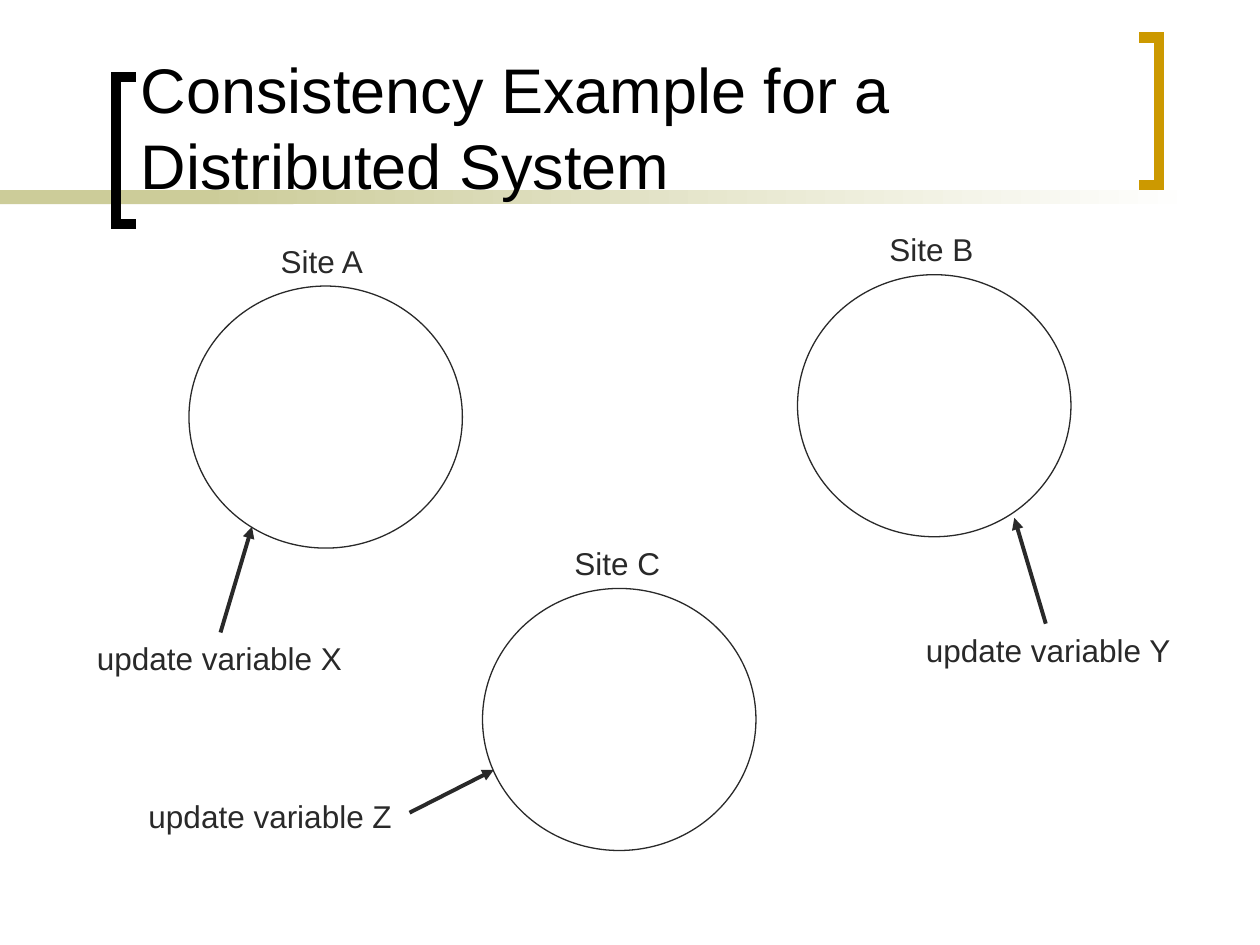
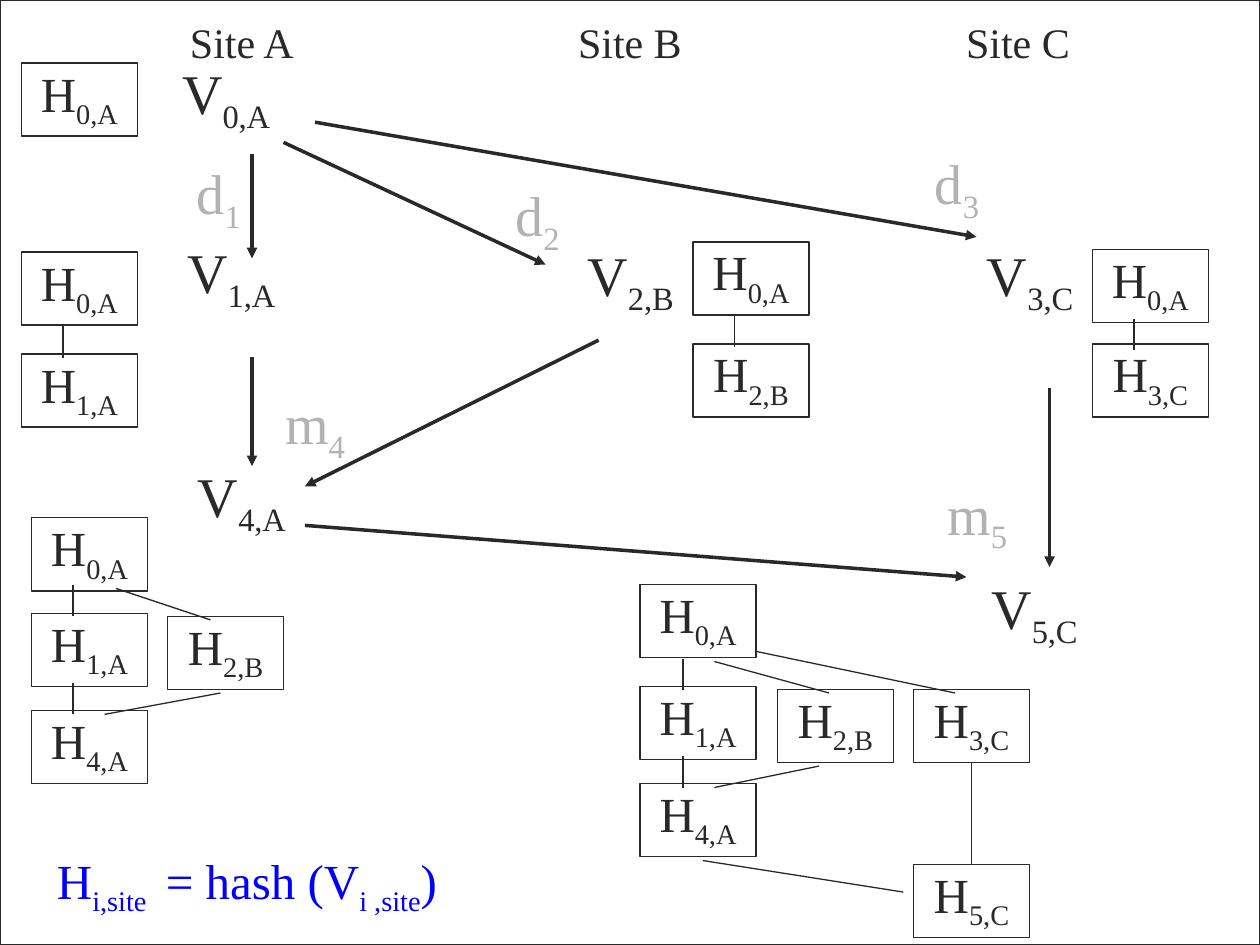
from lxml import etree
from pptx import Presentation
from pptx.dml.color import RGBColor
from pptx.enum.shapes import MSO_CONNECTOR, MSO_SHAPE
from pptx.enum.text import MSO_ANCHOR, PP_ALIGN
from pptx.oxml.ns import qn
from pptx.util import Cm, Pt

RECT, OVAL = MSO_SHAPE.RECTANGLE, MSO_SHAPE.OVAL
STRAIGHT = MSO_CONNECTOR.STRAIGHT
TOP, MIDDLE, BOTTOM = MSO_ANCHOR.TOP, MSO_ANCHOR.MIDDLE, MSO_ANCHOR.BOTTOM
LEFT, CENTER = PP_ALIGN.LEFT, PP_ALIGN.CENTER

COLORS = {"ink": "292929", "black": "000000", "white": "FFFFFF", "sand": "CCCC99",
          "gold": "CC9900", "gray": "B2B2B2", "blue": "0000FF"}
SANS, SERIF = "Arial", "Times New Roman"

# Content: all places are in grid units of one inch (2.54 cm)
TITLE = "Consistency Example for a Distributed System"
BRACKETS = [
    ("black", [(1.08, 1.78), (0.92, 1.78), (0.92, 0.61), (1.08, 0.61)]),
    ("gold", [(9.04, 0.3), (9.2, 0.3), (9.2, 1.47), (9.04, 1.47)]),
]
SITES = [("Site A", 1.5, 2.27), ("Site B", 6.33, 2.18), ("Site C", 3.83, 4.67)]
SITE_SIZE = (2.17, 2.08)
UPDATES = [  # label, its left and top, arrow start, arrow end
    ("update variable X", 0.67, 5.02, (1.75, 5.02), (2, 4.18)),
    ("update variable Y", 7.25, 4.96, (8.3, 4.95), (8.05, 4.11)),
    ("update variable Z", 1.08, 6.28, (3.25, 6.45), (3.92, 6.11)),
]

# An underscore switches between baseline and subscript
COLUMNS = ["Site A", "Site B", "Site C"]
VERSIONS = [("V_0,A", 1.33, 0.46, 0.93), ("V_1,A", 1.33, 1.88, 1.01),
            ("V_2,B", 4.5, 1.91, 1.01), ("V_3,C", 7.8, 1.91, 0.75),
            ("V_4,A", 1.42, 3.66, 1), ("V_5,C", 7.75, 4.55, 0.92)]
CHANGES = [("d_3", 7.37, 1.18, 0.45), ("d_2", 4.04, 1.43, 0.45), ("d_1", 1.51, 1.26, 0.45),
           ("m_4", 2.21, 3.08, 0.58), ("m_5", 7.42, 3.8, 0.67)]
FLOWS = [((2, 1.22), (2, 2.05)), ((4.75, 2.7), (2.42, 3.86)), ((2.25, 1.13), (4.33, 2.1)),
         ((2.5, 0.97), (7.75, 1.88)), ((2, 2.83), (2, 3.7)), ((8.33, 3.08), (8.33, 4.5)),
         ((2.42, 4.17), (7.67, 4.58))]
HISTORIES = [  # hash boxes and the lines between them, one entry per version
    {"boxes": [("H_0,A", 0.17, 0.5)], "links": []},
    {"boxes": [("H_0,A", 0.17, 2), ("H_1,A", 0.17, 2.81)],
     "links": [((0.5, 2.59), (0.5, 2.84))]},
    {"boxes": [("H_0,A", 5.5, 1.92), ("H_2,B", 5.5, 2.73)],
     "links": [((5.83, 2.5), (5.83, 2.75))]},
    {"boxes": [("H_0,A", 8.67, 1.98), ("H_3,C", 8.67, 2.73)],
     "links": [((9, 2.53), (9, 2.78))]},
    {"boxes": [("H_0,A", 0.25, 4.11), ("H_1,A", 0.25, 4.87), ("H_2,B", 1.33, 4.89),
               ("H_4,A", 0.25, 5.64)],
     "links": [((0.58, 4.64), (0.58, 4.89)), ((0.92, 4.67), (1.67, 4.92)),
               ((0.58, 5.42), (0.58, 5.67)), ((1.75, 5.5), (0.83, 5.67))]},
    {"boxes": [("H_0,A", 5.08, 4.64), ("H_1,A", 5.08, 5.45), ("H_2,B", 6.17, 5.47),
               ("H_4,A", 5.08, 6.22), ("H_3,C", 7.25, 5.47), ("H_5,C", 7.25, 6.86)],
     "links": [((5.42, 5.23), (5.42, 5.48)), ((5.67, 5.25), (6.58, 5.5)),
               ((5.42, 6), (5.42, 6.25)), ((6.5, 6.08), (5.67, 6.25)),
               ((5.58, 6.83), (7.17, 7.08)), ((6, 5.17), (7.58, 5.5))],
     "joined": ("H_3,C", "H_5,C")},
]
HASH_SIZE = (0.92, 0.58)
FORMULA = "H_i,site _ = hash (V_i ,site_)"


def grid(*values):
    return [Cm(v * 2.54) for v in values]


def color(name):
    return RGBColor.from_string(COLORS[name])


def set_line(sp, name, width):
    sp.line.color.rgb = color(name)
    sp.line.width = Pt(width)


def add_box(slide, kind, x, y, w, h, fill=None, line=None, width=0.75):
    sp = slide.shapes.add_shape(kind, *grid(x, y, w, h))
    sp.shadow.inherit = False
    if fill:
        sp.fill.solid()
        sp.fill.fore_color.rgb = color(fill)
    else:
        sp.fill.background()
    if line:
        set_line(sp, line, width)
    else:
        sp.line.fill.background()
    return sp


def write(sp, text, size=18, font=SANS, ink="ink", anchor=TOP, align=LEFT,
          insets=(0.1, 0.05, 0.1, 0.05)):
    tf = sp.text_frame
    tf.word_wrap = True
    tf.vertical_anchor = anchor
    tf.margin_left, tf.margin_top, tf.margin_right, tf.margin_bottom = grid(*insets)
    p = tf.paragraphs[0]
    p.alignment = align
    for i, part in enumerate(text.split("_")):
        r = p.add_run()
        r.text = part
        r.font.size, r.font.name = Pt(size), font
        r.font.color.rgb = color(ink)
        if i % 2:
            r.font._element.set("baseline", "-25000")


def add_text(slide, text, x, y, w, h, **style):
    write(slide.shapes.add_textbox(*grid(x, y, w, h)), text, **style)


def add_line(slide, start, end, width=0.75, arrow=False):
    sp = slide.shapes.add_connector(STRAIGHT, *grid(*start, *end))
    set_line(sp, "ink", width)
    sp_pr = sp._element.spPr
    if arrow:
        etree.SubElement(sp_pr.find(qn("a:ln")), qn("a:tailEnd"), type="triangle")
    etree.SubElement(sp_pr, qn("a:effectLst"))
    return sp


def add_title_style(slide, title):
    # Band: a plain start, then a fade to white
    add_box(slide, RECT, 0, 1.51, 2.33, 0.11, fill="sand")
    fade = add_box(slide, RECT, 1.58, 1.51, 7.92, 0.11)
    fade.fill.gradient()
    fade.fill.gradient_angle = 0
    for stop, name in zip(fade.fill.gradient_stops, ("sand", "white")):
        stop.color.rgb = color(name)
    # Square brackets around the title
    for name, points in BRACKETS:
        start, *rest = [grid(*pt) for pt in points]
        builder = slide.shapes.build_freeform(*start)
        builder.add_line_segments(rest, close=False)
        sp = builder.convert_to_shape()
        sp.shadow.inherit = False
        sp.fill.background()
        set_line(sp, name, 6)
        etree.SubElement(sp._element.spPr.find(qn("a:ln")), qn("a:miter"), lim="800000")
    add_text(slide, title, 1.02, 0.1, 7.83, 1.55, size=36, ink="black", anchor=BOTTOM)


def build_sites(slide):
    add_title_style(slide, TITLE)
    for name, x, y in SITES:
        add_box(slide, OVAL, x, y, *SITE_SIZE, line="ink")
        add_text(slide, name, x + 0.63, y - 0.4, 1, 0.4)
    for label, x, y, start, end in UPDATES:
        add_line(slide, start, end, 2.25, arrow=True)
        add_text(slide, label, x, y, 2.25, 0.4)


def build_hash_history(slide):
    symbol = {"font": SERIF, "anchor": MIDDLE, "align": CENTER, "insets": (0, 0, 0, 0.05)}
    flat = {**symbol, "insets": (0, 0, 0, 0)}
    add_box(slide, RECT, 0, 0, 10, 7.5, fill="white", line="ink")

    # Column heads
    for i, name in enumerate(COLUMNS):
        sp = add_box(slide, OVAL, 1.17 + 3.08 * i, 0.17, 1.5, 0.33, "white", "white", 1)
        write(sp, name, size=24, **flat)

    # Versions, changes and the arrows between them
    for start, end in FLOWS:
        add_line(slide, start, end, 2, arrow=True)
    for ink, labels in (("ink", VERSIONS), ("gray", CHANGES)):
        for text, x, y, w in labels:
            add_text(slide, text, x, y, w, 0.66, size=32, ink=ink, **symbol)

    # Hash graphs
    for history in HISTORIES:
        boxes = {}
        for text, x, y in history["boxes"]:
            boxes[text] = add_box(slide, RECT, x, y, *HASH_SIZE, line="ink")
            write(boxes[text], text, size=28, **symbol)
        for start, end in history["links"]:
            add_line(slide, start, end)
        if "joined" in history:
            upper, lower = history["joined"]
            sp = add_line(slide, (0, 0), (1, 1))
            sp.begin_connect(boxes[upper], 2)
            sp.end_connect(boxes[lower], 0)

    add_text(slide, FORMULA, 0.25, 6.75, 3.42, 0.53, size=28, ink="blue", **flat)


def main():
    prs = Presentation()
    prs.slide_width, prs.slide_height = grid(10, 7.5)
    for build in (build_sites, build_hash_history):
        build(prs.slides.add_slide(prs.slide_layouts[6]))
    prs.save("out.pptx")


if __name__ == "__main__":
    main()
